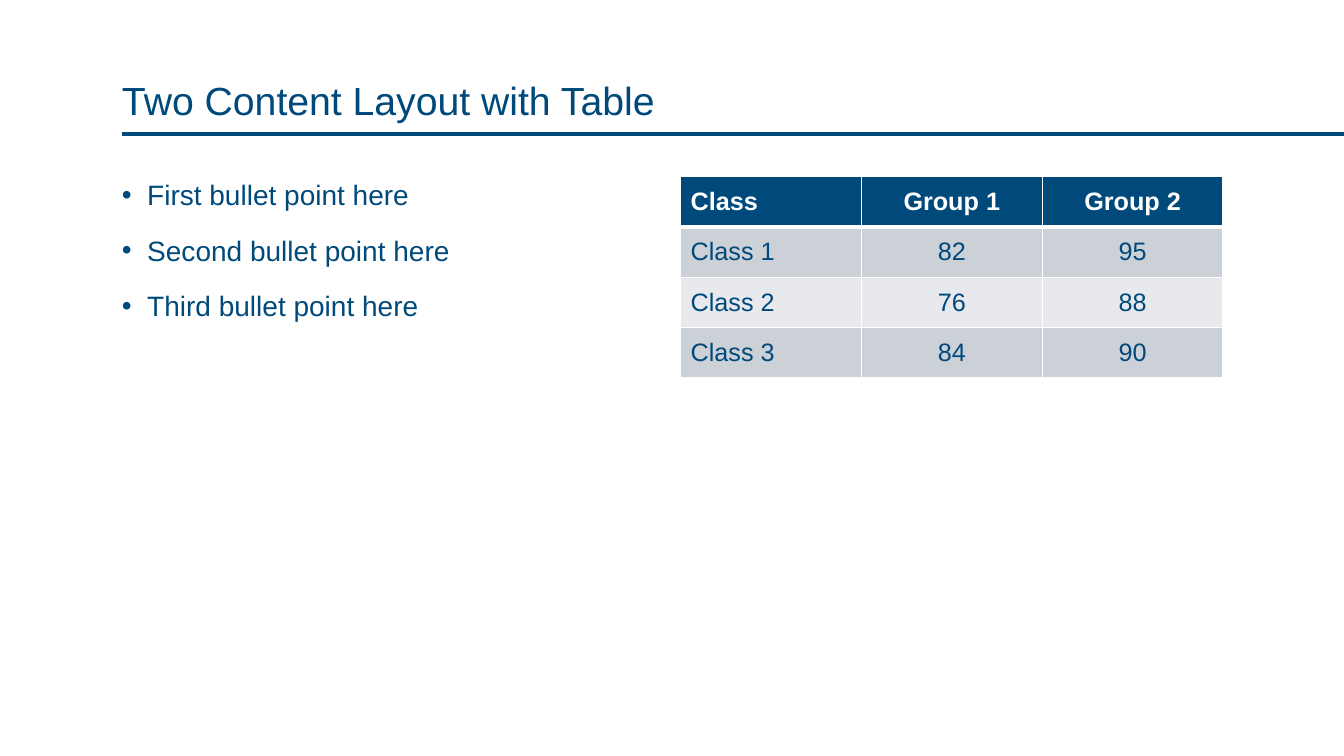
from lxml.etree import SubElement
from pptx import Presentation
from pptx.dml.color import RGBColor
from pptx.enum.shapes import MSO_CONNECTOR
from pptx.enum.text import MSO_ANCHOR, MSO_AUTO_SIZE, PP_ALIGN
from pptx.oxml.ns import qn
from pptx.util import Inches, Pt

COLORS = {
    "navy": "00497B",
    "white": "FFFFFF",
    "band_dark": "CCD0D7",
    "band_light": "E7E9EC",
}
FONT = "Arial"
PAGE_WIDTH, PAGE_HEIGHT = 13.33, 7.5
LEFT, CONTENT_TOP, COLUMN_WIDTH = 1.21, 1.75, 5.38
TABLE_LEFT = 6.75
ROW_HEIGHT = 0.5

TITLE = "Two Content Layout with Table"
BULLETS = [
    "First bullet point here",
    "Second bullet point here",
    "Third bullet point here",
]
SCORES = [
    ["Class", "Group 1", "Group 2"],
    ["Class 1", "82", "95"],
    ["Class 2", "76", "88"],
    ["Class 3", "84", "90"],
]


def rgb(name):
    return RGBColor.from_string(COLORS[name])


def write(para, text, size, color="navy", bold=False, align=PP_ALIGN.LEFT,
          line_spacing=1.0, before=0):
    para.alignment = align
    para.line_spacing = line_spacing
    para.space_before = Pt(before)
    span = para.add_run()
    span.text = text
    span.font.name = FONT
    span.font.size = Pt(size)
    span.font.bold = bold
    span.font.color.rgb = rgb(color)


def place(placeholder, left, top, width, height, anchor):
    """Move a placeholder and return its text frame without side insets."""
    placeholder.left, placeholder.top = Inches(left), Inches(top)
    placeholder.width, placeholder.height = Inches(width), Inches(height)
    frame = placeholder.text_frame
    frame.word_wrap = True
    frame.auto_size = MSO_AUTO_SIZE.NONE
    frame.vertical_anchor = anchor
    frame.margin_left = frame.margin_right = 0
    frame.margin_top = frame.margin_bottom = Inches(0.05)
    return frame


def add_heading(page, left, top, width, height):
    frame = place(page.shapes.title, left, top, width, height, MSO_ANCHOR.BOTTOM)
    write(frame.paragraphs[0], TITLE, 28, line_spacing=0.9)
    rule_top = Inches(top + height + 0.05)
    rule = page.shapes.add_connector(
        MSO_CONNECTOR.STRAIGHT, Inches(left), rule_top, Inches(PAGE_WIDTH), rule_top)
    rule.line.color.rgb = rgb("navy")
    rule.line.width = Pt(3)
    SubElement(rule._element.spPr, qn("a:effectLst"))


def add_bullets(page, left, top, width, height):
    frame = place(page.placeholders[1], left, top, width, height, MSO_ANCHOR.TOP)
    for index, text in enumerate(BULLETS):
        para = frame.add_paragraph() if index else frame.paragraphs[0]
        properties = para._p.get_or_add_pPr()
        properties.set("marL", str(Inches(0.25)))
        properties.set("indent", str(Inches(-0.25)))
        SubElement(properties, qn("a:buFont"), typeface=FONT)
        SubElement(properties, qn("a:buChar"), char="•")
        write(para, text, 20, line_spacing=0.9, before=18 if index else 0)


def set_borders(cell, top=1, bottom=1):
    """Draw white cell borders, with widths in points."""
    properties = cell._tc.get_or_add_tcPr()
    for side, width in (("L", 1), ("R", 1), ("T", top), ("B", bottom)):
        line = SubElement(properties, qn(f"a:ln{side}"), w=str(Pt(width)))
        fill = SubElement(line, qn("a:solidFill"))
        SubElement(fill, qn("a:srgbClr"), val=COLORS["white"])


def add_scores(page, left, top, width):
    row_count, column_count = len(SCORES), len(SCORES[0])
    table = page.shapes.add_table(
        row_count, column_count, Inches(left), Inches(top),
        Inches(width), Inches(ROW_HEIGHT * row_count)).table
    for row, values in enumerate(SCORES):
        header = row == 0
        band = "navy" if header else "band_dark" if row % 2 else "band_light"
        for column, value in enumerate(values):
            cell = table.cell(row, column)
            set_borders(cell, top=3 if row == 1 else 1, bottom=3 if header else 1)
            cell.fill.solid()
            cell.fill.fore_color.rgb = rgb(band)
            cell.vertical_anchor = MSO_ANCHOR.MIDDLE
            write(cell.text_frame.paragraphs[0], value, 18,
                  color="white" if header else "navy", bold=header,
                  align=PP_ALIGN.CENTER if column else PP_ALIGN.LEFT)


def main():
    deck = Presentation()
    deck.slide_width, deck.slide_height = Inches(PAGE_WIDTH), Inches(PAGE_HEIGHT)
    page = deck.slides.add_slide(deck.slide_layouts[1])
    page.background.fill.solid()
    page.background.fill.fore_color.rgb = rgb("white")
    add_heading(page, LEFT, 0.08, 10.92, 1.2)
    add_bullets(page, LEFT, CONTENT_TOP, COLUMN_WIDTH, 5)
    add_scores(page, TABLE_LEFT, CONTENT_TOP, COLUMN_WIDTH)
    deck.save("out.pptx")


if __name__ == "__main__":
    main()
